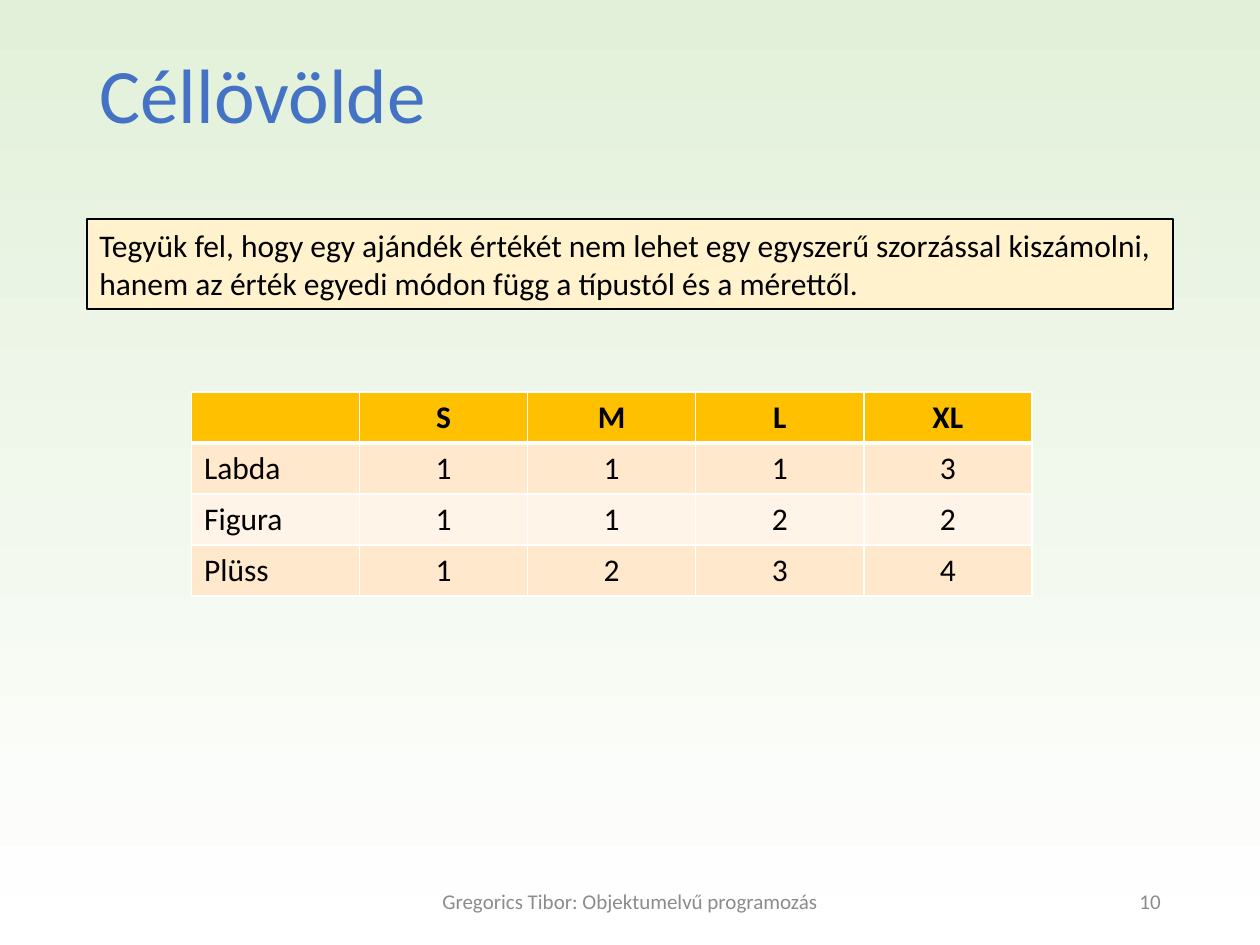
from pptx import Presentation
from pptx.dml.color import RGBColor
from pptx.enum import shapes, text
from pptx.oxml import parse_xml
from pptx.oxml.ns import nsdecls
from pptx.util import Inches, Pt

FONT = "Calibri"
WHITE = RGBColor(0xFF, 0xFF, 0xFF)
BLACK = RGBColor(0, 0, 0)
PALE_GREEN = RGBColor(0xE2, 0xF0, 0xD9)
BLUE = RGBColor(0x44, 0x72, 0xC4)
CREAM = RGBColor(0xFF, 0xF2, 0xCC)
GRAY = RGBColor(0x8C, 0x8C, 0x8C)
GOLD = RGBColor(0xFF, 0xC0, 0x00)
BANDS = (RGBColor(0xFF, 0xE8, 0xCC), RGBColor(0xFF, 0xF4, 0xE7))

LEFT, CONTENT_WIDTH = Inches(0.69), Inches(8.62)
GIFT_VALUES = (
    ("", "S", "M", "L", "XL"),
    ("Labda", "1", "1", "1", "3"),
    ("Figura", "1", "1", "2", "2"),
    ("Plüss", "1", "2", "3", "4"),
)


def write(frame, words, size=18, color=BLACK, bold=False,
          align=text.PP_ALIGN.LEFT, anchor=text.MSO_ANCHOR.TOP, spacing=None):
    frame.word_wrap = True
    frame.vertical_anchor = anchor
    paragraph = frame.paragraphs[0]
    paragraph.alignment = align
    paragraph.line_spacing = spacing
    font = paragraph.font
    if words:
        run = paragraph.add_run()
        run.text = words
        font = run.font
    font.name, font.size, font.bold = FONT, Pt(size), bold
    font.color.rgb = color


def paint_background(slide):
    fill = slide.background.fill
    fill.gradient()
    fill.gradient_angle = 90
    for stop, color in zip(fill.gradient_stops, (WHITE, PALE_GREEN)):
        stop.color.rgb = color


def place_title(slide, left, top, width, height):
    title = slide.shapes.title
    title.left, title.top, title.width, title.height = left, top, width, height
    title.text_frame.auto_size = text.MSO_AUTO_SIZE.NONE
    write(title.text_frame, "Céllövölde", size=44, color=BLUE, spacing=0.9)


def add_statement(slide, left, top, width, height):
    box = slide.shapes.add_shape(shapes.MSO_SHAPE.RECTANGLE, left, top, width, height)
    box.shadow.inherit = False
    box.fill.solid()
    box.fill.fore_color.rgb = CREAM
    box.line.color.rgb = BLACK
    box.line.width = Pt(1)
    box.text_frame.auto_size = text.MSO_AUTO_SIZE.SHAPE_TO_FIT_TEXT
    write(box.text_frame,
          "Tegyük fel, hogy egy ajándék értékét nem lehet egy egyszerű szorzással "
          "kiszámolni, hanem az érték egyedi módon függ a típustól és a mérettől.",
          anchor=text.MSO_ANCHOR.MIDDLE)


def set_borders(cell, **widths):
    """Draw white borders; the keywords L, R, T and B give points, in that order."""
    properties = cell._tc.get_or_add_tcPr()
    for index, (side, width) in enumerate(widths.items()):
        properties.insert(index, parse_xml(
            f'<a:ln{side} {nsdecls("a")} w="{Pt(width)}"><a:solidFill>'
            f'<a:srgbClr val="{WHITE}"/></a:solidFill></a:ln{side}>'))


def add_value_table(slide, left, top, width, height):
    rows, columns = len(GIFT_VALUES), len(GIFT_VALUES[0])
    table = slide.shapes.add_table(rows, columns, left, top, width, height).table
    for row, values in enumerate(GIFT_VALUES):
        header = row == 0
        for column, value in enumerate(values):
            cell = table.cell(row, column)
            cell.fill.solid()
            cell.fill.fore_color.rgb = GOLD if header else BANDS[(row - 1) % 2]
            centred = header or column > 0
            write(cell.text_frame, value, bold=header,
                  align=text.PP_ALIGN.CENTER if centred else text.PP_ALIGN.LEFT)
            set_borders(cell, L=1, R=1, T=3 if row == 1 else 1, B=3 if header else 1)


def add_footer(slide, left, top, width, height):
    """Put the course name in the middle and the slide number at the right."""
    name_width, number_width = Inches(3.38), Inches(2.25)
    parts = (
        ("Gregorics Tibor: Objektumelvű programozás",
         left + (width - name_width) // 2, name_width, text.PP_ALIGN.CENTER),
        ("10", left + width - number_width, number_width, text.PP_ALIGN.RIGHT),
    )
    for words, part_left, part_width, align in parts:
        box = slide.shapes.add_textbox(part_left, top, part_width, height)
        write(box.text_frame, words, size=12, color=GRAY, align=align,
              anchor=text.MSO_ANCHOR.MIDDLE)


def main():
    presentation = Presentation()
    presentation.slide_width, presentation.slide_height = Inches(10), Inches(7.5)
    slide = presentation.slides.add_slide(presentation.slide_layouts[5])
    paint_background(slide)
    place_title(slide, LEFT, Inches(0.4), CONTENT_WIDTH, Inches(1.45))
    add_statement(slide, LEFT, Inches(1.74), CONTENT_WIDTH, Inches(0.71))
    add_value_table(slide, Inches(1.52), Inches(3.11), Inches(6.67), Inches(1.62))
    add_footer(slide, LEFT, Inches(6.95), CONTENT_WIDTH, Inches(0.4))
    presentation.save("out.pptx")


if __name__ == "__main__":
    main()
